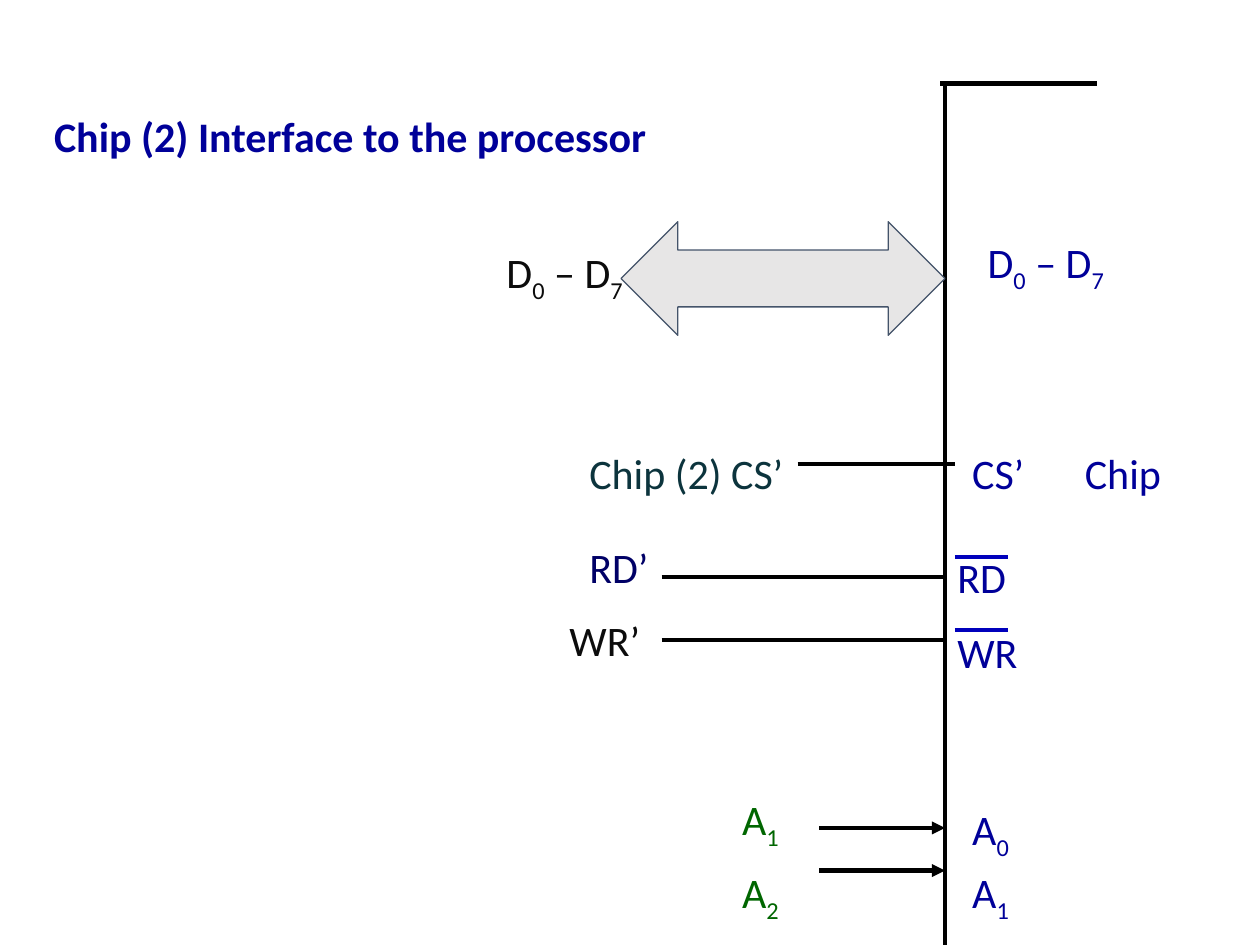
from typing import NamedTuple

from lxml.etree import SubElement
from pptx import Presentation
from pptx.dml.color import RGBColor
from pptx.enum.shapes import MSO_CONNECTOR, MSO_SHAPE
from pptx.enum.text import MSO_AUTO_SIZE
from pptx.oxml.ns import qn
from pptx.util import Cm, Pt

NAVY, GREEN, INK, BLACK, BAR = "000099", "006600", "0C0C0C", "000000", "0000BC"
CHIP_X = 19.05  # left edge of the chip
PIN_X = 19.35
BAR_X = 19.25
ADDRESS_X = 14.71
LABEL_HEIGHT = 1.27


class Label(NamedTuple):
    """Text at a place in cm; every second part between | is a subscript."""
    text: str
    x: float
    y: float
    width: float
    color: str = NAVY
    bold: bool = False


class Wire(NamedTuple):
    x1: float
    y1: float
    x2: float
    y2: float
    color: str = BLACK
    arrow: bool = False


LABELS = [
    Label("Chip (2) Interface to the processor", 0.84, 2.11, 17.58, bold=True),
    # Processor side
    Label("D|0| – D|7", 9.96, 4.85, 4.01, INK),
    Label("Chip (2) CS’", 11.63, 8.89, 5.13, "0C343D"),
    Label("RD’", 11.63, 10.8, 2.97, "000066"),
    Label("WR’", 11.23, 12.27, 2.97, INK),
    Label("A|1", ADDRESS_X, 15.88, 1.47, GREEN),
    Label("A|2", ADDRESS_X, 17.35, 1.47, GREEN),
    # Chip side
    Label("D|0| – D|7", 19.66, 4.65, 4.01),
    Label("CS’", PIN_X, 8.89, 2.97),
    Label("Chip", 21.62, 8.89, 5.28),
    Label("RD", CHIP_X, 11, 2.97),
    Label("WR", CHIP_X, 12.5, 2.97),
    Label("A|0", PIN_X, 16.08, 1.47),
    Label("A|1", PIN_X, 17.35, 1.47),
]

WIRES = [
    Wire(CHIP_X, 1.7, CHIP_X, 19.05),
    Wire(18.95, 1.68, 22.12, 1.68),
    Wire(16.08, 9.35, BAR_X, 9.35),
    *(Wire(13.34, y, CHIP_X, y) for y in (11.63, 12.9)),
    *(Wire(BAR_X, y, 20.32, y, BAR) for y in (11.23, 12.7)),
    *(Wire(16.51, y, CHIP_X, y, arrow=True) for y in (16.69, 17.55)),
]


def rgb(color: str) -> RGBColor:
    return RGBColor.from_string(color)


def draw_label(s, label: Label) -> None:
    box = s.shapes.add_textbox(Cm(label.x), Cm(label.y),
                               Cm(label.width), Cm(LABEL_HEIGHT))
    tf = box.text_frame
    tf.word_wrap = True
    tf.auto_size = MSO_AUTO_SIZE.SHAPE_TO_FIT_TEXT
    p = tf.paragraphs[0]
    p.font.name, p.font.size, p.font.bold = "Calibri", Pt(24), label.bold
    p.font.color.rgb = rgb(label.color)
    for i, part in enumerate(label.text.split("|")):
        r = p.add_run()
        r.text = part
        if i % 2:
            r.font._element.set("baseline", "-25000")


def draw_wire(s, wire: Wire) -> None:
    line = s.shapes.add_connector(MSO_CONNECTOR.STRAIGHT, Cm(wire.x1), Cm(wire.y1),
                                  Cm(wire.x2), Cm(wire.y2))
    line.line.color.rgb = rgb(wire.color)
    line.line.width = Pt(2.5)
    if wire.arrow:
        SubElement(line.line._get_or_add_ln(), qn("a:tailEnd"), type="triangle")
    SubElement(line._element.spPr, qn("a:effectLst"))


def draw_data_bus(s) -> None:
    sp = s.shapes.add_shape(MSO_SHAPE.LEFT_RIGHT_ARROW,
                            Cm(12.52), Cm(4.47), Cm(6.53), Cm(2.29))
    sp.shadow.inherit = False
    sp.fill.solid()
    sp.fill.fore_color.rgb = rgb("E7E6E6")
    sp.line.color.rgb = rgb("44546A")
    sp.line.width = Pt(0.75)


def main() -> None:
    prs = Presentation()
    prs.slide_width, prs.slide_height = Cm(25.4), Cm(19.05)
    s = prs.slides.add_slide(prs.slide_layouts[6])
    for wire in WIRES:
        draw_wire(s, wire)
    for label in LABELS:
        draw_label(s, label)
    draw_data_bus(s)
    prs.save("out.pptx")


if __name__ == "__main__":
    main()
